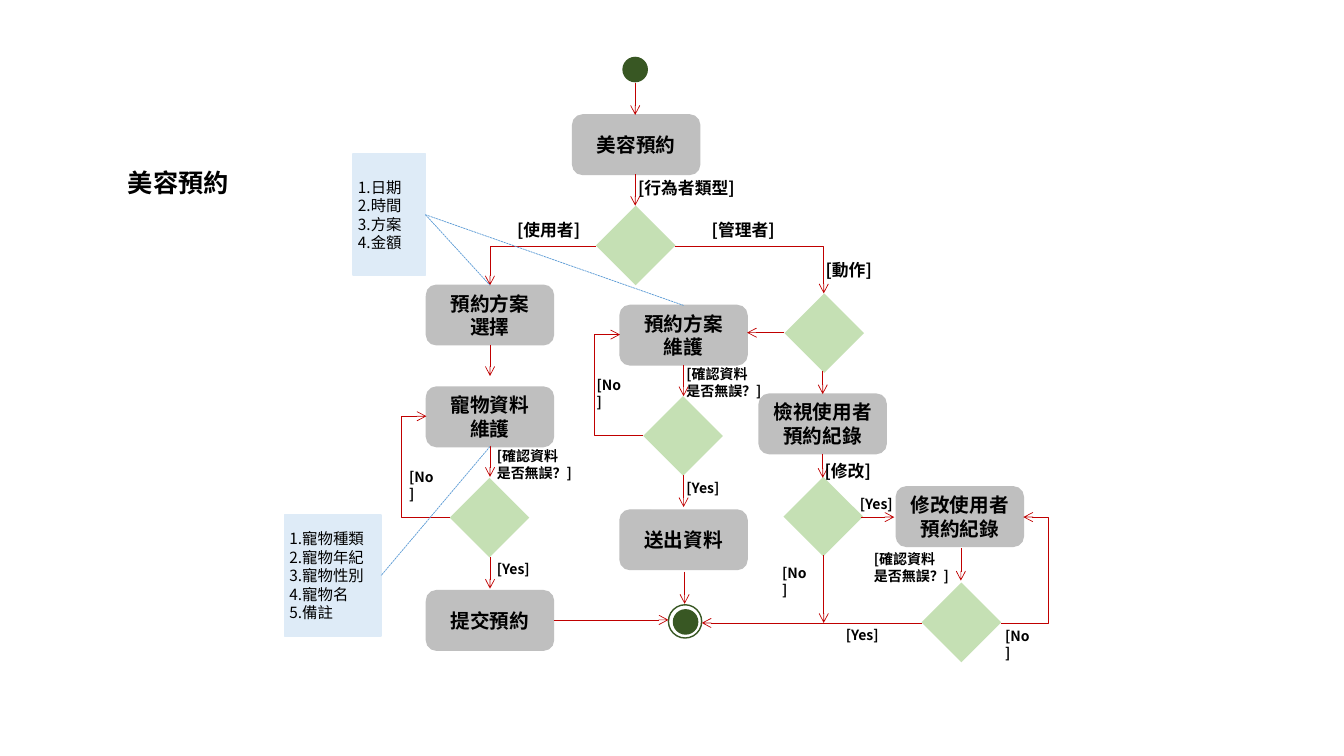
from lxml import etree
from pptx import Presentation
from pptx.dml.color import RGBColor
from pptx.enum.dml import MSO_LINE
from pptx.enum.shapes import MSO_CONNECTOR, MSO_SHAPE
from pptx.enum.text import MSO_ANCHOR, PP_ALIGN
from pptx.oxml.ns import qn
from pptx.util import Inches, Pt

ROUNDED, DIAMOND = MSO_SHAPE.ROUNDED_RECTANGLE, MSO_SHAPE.DIAMOND
OVAL, RECTANGLE = MSO_SHAPE.OVAL, MSO_SHAPE.RECTANGLE
STRAIGHT, ELBOW = MSO_CONNECTOR.STRAIGHT, MSO_CONNECTOR.ELBOW
DASH = MSO_LINE.SQUARE_DOT
MIDDLE, LEFT, CENTER = MSO_ANCHOR.MIDDLE, PP_ALIGN.LEFT, PP_ALIGN.CENTER
FONT = "Noto Sans CJK SC"
BLACK, GRAY, GREEN, DARK = "000000", "BFBFBF", "C5E0B4", "385723"
PALE, RED, BLUE = "DEEBF7", "C00000", "5B9BD5"


def color(value):
    return RGBColor.from_string(value)


class Flowchart:
    """Draws the elements of an activity diagram on one slide."""

    def __init__(self, slide):
        self.shapes = slide.shapes

    def add_lines(self, frame, text, size, bold=True, align=LEFT):
        for index, line in enumerate(text.split("\n")):
            paragraph = frame.paragraphs[0] if index == 0 else frame.add_paragraph()
            paragraph.alignment = align
            run = paragraph.add_run()
            run.text = line
            run.font.size, run.font.bold, run.font.name = Pt(size), bold, FONT
            run.font.color.rgb = color(BLACK)
            east_asian = etree.SubElement(run._r.get_or_add_rPr(), qn("a:ea"))
            east_asian.set("typeface", FONT)

    def shape(self, kind, left, top, width, height, fill=None, outline=None):
        shape = self.shapes.add_shape(
            kind, Inches(left), Inches(top), Inches(width), Inches(height))
        shape.shadow.inherit = False
        if fill:
            shape.fill.solid()
            shape.fill.fore_color.rgb = color(fill)
        else:
            shape.fill.background()
        if outline:
            shape.line.color.rgb = color(outline)
            shape.line.width = Pt(1)
        else:
            shape.line.fill.background()
        return shape

    def activity(self, left, top, text):
        frame = self.shape(ROUNDED, left, top, 1.26, 0.59, GRAY, GRAY).text_frame
        frame.word_wrap, frame.vertical_anchor = True, MIDDLE
        self.add_lines(frame, text, 14, align=CENTER)

    def decision(self, left, top):
        self.shape(DIAMOND, left, top, 0.79, 0.79, GREEN)

    def circle(self, left, top, diameter, fill=None):
        self.shape(OVAL, left, top, diameter, diameter, fill, DARK)

    def note(self, left, top, width, items):
        frame = self.shape(RECTANGLE, left, top, width, 1.2, PALE, PALE).text_frame
        frame.word_wrap, frame.vertical_anchor = True, MIDDLE
        frame.margin_left = frame.margin_right = Inches(0.05)
        frame.margin_top = frame.margin_bottom = Inches(0.05)
        lines = [f"{number}.{item}" for number, item in enumerate(items, 1)]
        self.add_lines(frame, "\n".join(lines), 11, bold=False)

    def label(self, left, top, width, text, size, wrap=True):
        box = self.shapes.add_textbox(
            Inches(left), Inches(top), Inches(width), Inches(size / 40))
        box.text_frame.word_wrap = wrap
        self.add_lines(box.text_frame, text, size)

    def connector(self, kind, start, end, stroke):
        ends = [Inches(value) for value in (*start, *end)]
        connector = self.shapes.add_connector(kind, *ends)
        connector.line.color.rgb = color(stroke)
        connector.line.width = Pt(0.5)
        etree.SubElement(connector._element.spPr, qn("a:effectLst"))
        return connector

    def arrow(self, start, end, kind=STRAIGHT):
        connector = self.connector(kind, start, end, RED)
        head = etree.SubElement(connector.get_or_add_ln(), qn("a:tailEnd"))
        head.set("type", "arrow")
        return connector._element.spPr.find(qn("a:prstGeom"))

    def corner(self, start, end):
        self.arrow(start, end, ELBOW).set("prst", "bentConnector2")

    def loop(self, start, end, turn):
        geometry = self.arrow(start, end, ELBOW)
        ratio = (turn - start[0]) / (end[0] - start[0])
        guide = etree.SubElement(geometry.find(qn("a:avLst")), qn("a:gd"))
        guide.set("name", "adj1")
        guide.set("fmla", f"val {round(ratio * 100000)}")

    def note_link(self, start, end):
        self.connector(STRAIGHT, start, end, BLUE).line.dash_style = DASH


deck = Presentation()
deck.slide_width, deck.slide_height = Inches(13.33), Inches(7.5)
chart = Flowchart(deck.slides.add_slide(deck.slide_layouts[6]))

chart.label(1.17, 1.61, 1.21, "美容預約", 18, wrap=False)

ACTIVITIES = [
    (5.68, 1.14, "美容預約"), (4.23, 2.83, "預約方案\n選擇"),
    (6.15, 3.03, "預約方案\n維護"), (7.53, 3.91, "檢視使用者預約紀錄"),
    (4.23, 3.84, "寵物資料\n維護"), (8.89, 4.83, "修改使用者預約紀錄"),
    (4.23, 5.86, "提交預約"), (6.15, 5.06, "送出資料"),
]
for activity in ACTIVITIES:
    chart.activity(*activity)

DECISIONS = [(5.91, 2.04), (7.78, 2.91), (4.46, 4.74),
             (7.77, 4.73), (9.14, 5.78), (6.38, 3.93)]
for decision in DECISIONS:
    chart.decision(*decision)

chart.circle(6.18, 0.57, 0.24, DARK)
chart.circle(6.63, 6, 0.33)
chart.circle(6.68, 6.05, 0.24, DARK)

DOWNWARD = [
    (6.3, 0.82, 1.14), (6.3, 1.73, 2.04), (4.86, 3.42, 3.73),
    (4.86, 4.42, 4.73), (4.86, 5.53, 5.84), (8.16, 3.68, 3.91),
    (8.16, 4.5, 4.74), (8.17, 5.51, 6.18), (9.53, 5.44, 5.76),
    (6.78, 3.62, 3.93), (6.78, 4.71, 5.03), (6.79, 5.67, 5.99),
]
for x, top, bottom in DOWNWARD:
    chart.arrow((x, top), (x, bottom))

SIDEWAYS = [(3.3, 7.78, 7.41), (5.13, 8.54, 8.87),
            (6.18, 9.14, 6.96), (6.15, 5.49, 6.63)]
for y, begin, end in SIDEWAYS:
    chart.arrow((begin, y), (end, y))

chart.corner((6.69, 2.44), (8.17, 2.91))
chart.corner((5.91, 2.44), (4.86, 2.83))
chart.loop((4.46, 5.13), (4.23, 4.13), 3.98)
chart.loop((6.38, 4.32), (6.15, 3.32), 5.9)
chart.loop((9.93, 6.18), (10.15, 5.13), 10.4)

CONDITIONS = [
    (6.23, 1.71, 1.21, "[行為者類型]"), (5.03, 2.13, 0.88, "[使用者]"),
    (6.96, 2.13, 0.88, "[管理者]"), (8.09, 2.53, 0.71, "[動作]"),
    (8.08, 4.52, 0.71, "[修改]"),
]
for left, top, width, text in CONDITIONS:
    chart.label(left, top, width, text, 12)

ANSWERS = {
    ("[Yes]", 0.55): [(6.71, 4.71), (4.83, 5.51), (8.29, 6.17), (8.43, 4.87)],
    ("[No]", 0.48): [(5.82, 3.69), (3.96, 4.6), (7.66, 5.55), (9.87, 6.18)],
    ("[確認資料\n是否無誤？]", 0.97): [(4.83, 4.39), (8.57, 5.41), (6.71, 3.58)],
}
for (text, width), places in ANSWERS.items():
    for left, top in places:
        chart.label(left, top, width, text, 10)

chart.note(3.5, 1.53, 0.72, ["日期", "時間", "方案", "金額"])
chart.note(2.82, 5.11, 0.96, ["寵物種類", "寵物年紀", "寵物性別", "寵物名", "備註"])
chart.note_link((4.22, 2.13), (4.86, 2.83))
chart.note_link((4.22, 2.13), (6.78, 3.03))
chart.note_link((4.86, 4.43), (3.78, 5.71))

deck.save("out.pptx")
